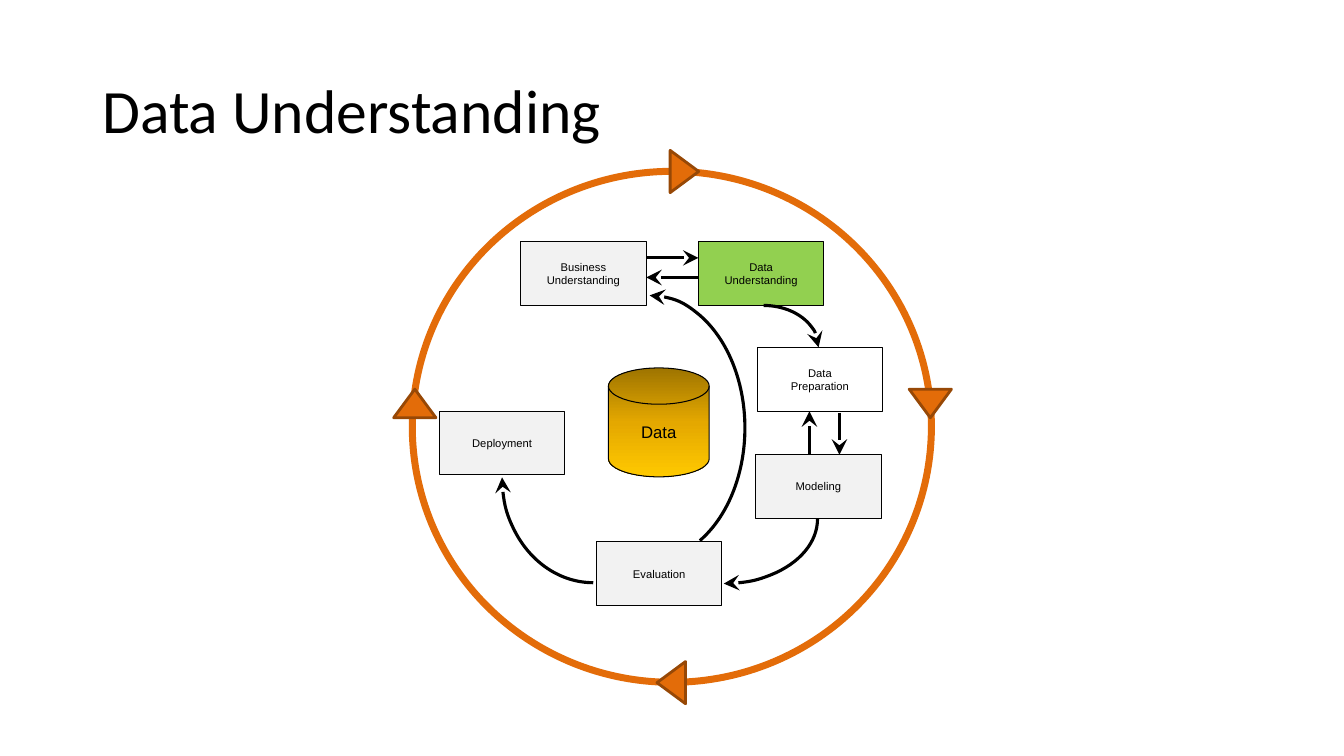
from copy import deepcopy
from dataclasses import dataclass

from pptx import Presentation
from pptx.dml.color import RGBColor as RGB
from pptx.enum.shapes import MSO_CONNECTOR as Link, MSO_SHAPE as Kind
from pptx.enum.text import MSO_ANCHOR as Anchor, PP_ALIGN as Align
from pptx.oxml.ns import qn
from pptx.oxml.xmlchemy import OxmlElement as Node
from pptx.util import Pt


@dataclass(frozen=True)
class Theme:
    ink: str = "000000"
    box: str = "F2F2F2"
    focus: str = "92D050"
    ring: str = "E36C09"
    edge: str = "974806"
    gold: tuple = ("9E7400", "E4A800", "FFC900")
    head: str = "Calibri"
    body: str = "Arial"
    title: float = 44
    label: float = 8
    store: float = 12
    thin: float = 0.75
    arrow: float = 2.25
    rim: float = 2
    thick: float = 5


class Board:
    def __init__(self, slide, theme):
        self.slide = slide
        self.theme = theme

    def style(self, line, color, width):
        line.color.rgb = RGB.from_string(color)
        line.width = Pt(width)

    def label(self, frame, lines, size, font, align):
        frame.word_wrap = True
        frame.vertical_anchor = Anchor.MIDDLE
        for i, line in enumerate(lines):
            para = frame.add_paragraph() if i else frame.paragraphs[0]
            para.text = line
            para.alignment = align
            para.font.size = Pt(size)
            para.font.name = font
            para.font.color.rgb = RGB.from_string(self.theme.ink)

    def title(self, text, *area):
        frame = self.slide.shapes.add_textbox(*map(Pt, area)).text_frame
        self.label(frame, [text], self.theme.title, self.theme.head, Align.LEFT)
        frame.paragraphs[0].line_spacing = 0.9

    def shape(self, kind, area, fill, color, width, turn=0):
        item = self.slide.shapes.add_shape(kind, *map(Pt, area))
        item.shadow.inherit = False
        item.rotation = turn
        if fill:
            item.fill.solid()
            item.fill.fore_color.rgb = RGB.from_string(fill)
        else:
            item.fill.background()
        self.style(item.line, color, width)
        return item

    def box(self, text, area, fill):
        item = self.shape(Kind.RECTANGLE, area, fill, self.theme.ink, self.theme.thin)
        self.label(item.text_frame, text.split("\n"), self.theme.label,
                   self.theme.body, Align.CENTER)

    def tip(self, item, end):
        node = Node(f"a:{end}End")
        for key, val in (("type", "stealth"), ("w", "lg"), ("len", "lg")):
            node.set(key, val)
        item._element.spPr.find(qn("a:ln")).append(node)

    def arrow(self, *ends):
        item = self.slide.shapes.add_connector(Link.STRAIGHT, *map(Pt, ends))
        self.style(item.line, self.theme.ink, self.theme.arrow)
        self.tip(item, "tail")
        item._element.spPr.append(Node("a:effectLst"))

    def arc(self, area, turn=0, stop=0, end="tail"):
        item = self.shape(Kind.ARC, area, None, self.theme.ink, self.theme.arrow, turn)
        item.adjustments[0] = 162
        item.adjustments[1] = stop
        self.tip(item, end)

    def disk(self, text, area):
        look = self.theme
        item = self.shape(Kind.FLOWCHART_MAGNETIC_DISK, area, None, look.ink, look.thin)
        item.fill.gradient()
        item.fill.gradient_angle = 270
        stops = item._element.spPr.find(".//" + qn("a:gsLst"))
        stops.insert(1, deepcopy(stops[0]))
        for i, (stop, color) in enumerate(zip(item.fill.gradient_stops, look.gold)):
            stop.color.rgb = RGB.from_string(color)
            stop.position = i / 2
        self.label(item.text_frame, [text], look.store, look.body, Align.CENTER)

    def ring(self, area, marks):
        look = self.theme
        self.shape(Kind.OVAL, area, None, look.ring, look.thick)
        for left, top, turn in marks:
            self.shape(Kind.ISOSCELES_TRIANGLE, (left, top, 30.2, 20.4),
                       look.ring, look.edge, look.rim, turn)


def main():
    deck = Presentation()
    deck.slide_width, deck.slide_height = Pt(960), Pt(540)
    look = Theme()
    board = Board(deck.slides.add_slide(deck.slide_layouts[6]), look)

    board.title("Data Understanding", 66, 28.8, 828, 104.4)

    steps = [
        ("Business\nUnderstanding", 372, 172.8, look.box),
        ("Data\nUnderstanding", 498.9, 172.8, look.focus),
        ("Data\nPreparation", 540.9, 248.4, None),
        ("Modeling", 539.8, 324.8, look.box),
        ("Evaluation", 426.1, 387, look.box),
        ("Deployment", 313.9, 293.8, look.box),
    ]
    for text, left, top, fill in steps:
        board.box(text, (left, top, 89.6, 45.4), fill)

    board.arrow(461.6, 184.2, 498.9, 184.2)
    board.arrow(498.9, 198.2, 461.6, 198.2)
    board.arc((506.2, 218.2, 78.5, 59.8))
    board.arrow(599.6, 294.8, 599.6, 324.8)
    board.arrow(578.2, 324, 578.2, 293.8)
    board.arc((470.9, 303.8, 92.2, 133.9), 90)
    board.arc((396, 211, 136.1, 189.4), stop=39.59, end="head")
    board.arc((358.6, 265.7, 130.3, 150.5), 180)

    board.disk("Data", (434.6, 262.8, 72, 77.8))

    board.ring((294.5, 122.4, 370.8, 365), [
        (281.2, 278, 0),
        (464.4, 477.4, 270),
        (473.8, 112.3, 90),
        (649.4, 278, 180),
    ])

    deck.save("out.pptx")


if __name__ == "__main__":
    main()
